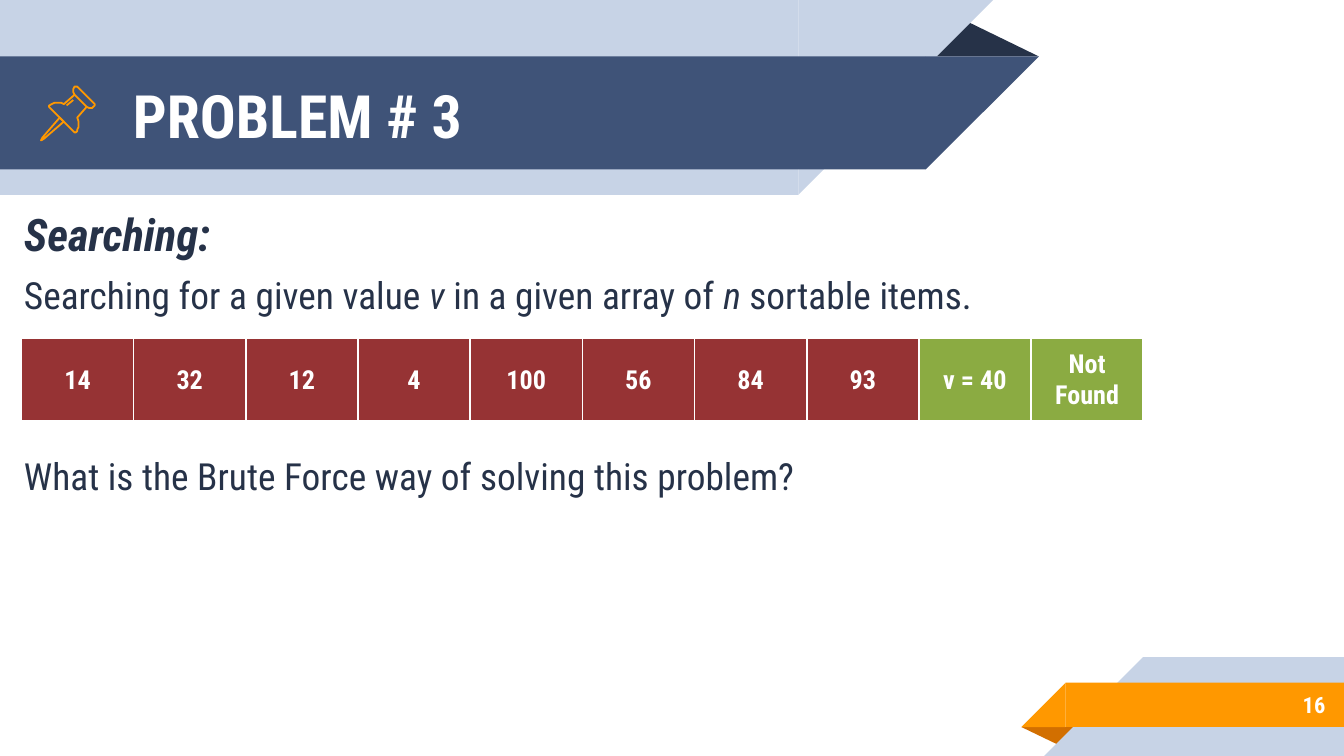
import pptx
import pptx.dml.color
import pptx.enum.shapes
import pptx.enum.text
import pptx.oxml
import pptx.oxml.ns
import pptx.util

PX = 4572
FONT = "Roboto Condensed"
WHITE, NAVY, BLUE, PALE = "FFFFFF", "263248", "3F5378", "C7D3E6"
ORANGE, RUST, RED, GREEN = "FF9800", "D26F00", "963334", "8BAB42"
SHAPE = pptx.enum.shapes.MSO_SHAPE
ALIGN = pptx.enum.text.PP_ALIGN
ANCHOR = pptx.enum.text.MSO_ANCHOR

VALUES = ["14", "32", "12", "4", "100", "56", "84", "93"]
RESULTS = ["v = 40", "Not Found"]
NEEDLE = [(28, 46), (2, 76), (0, 80), (4, 78), (34, 52)]
CAP = [(50, 12), (68, 30), (72, 32), (76, 32), (78, 30), (80, 28), (80, 26),
       (54, 0), (52, 0), (50, 0), (48, 4), (48, 8)]
GRIP = [(50, 12), (34, 26), (30, 24), (26, 24), (20, 24), (16, 26), (12, 28),
        (12, 30), (14, 32), (48, 66), (50, 68), (52, 68), (54, 66), (54, 64),
        (56, 60), (56, 52), (54, 46), (68, 30)]
GLINT = [(38, 28), (48, 20)]


def color(value):
    """Turn a hex string into a colour."""
    return pptx.dml.color.RGBColor.from_string(value)


def px(*lengths):
    """Turn px lengths into EMU."""
    return [pptx.util.Emu(length * PX) for length in lengths]


def add_block(slide, kind, box, fill, flip=None, rotation=0):
    """Add one plain filled shape, optionally mirrored."""
    block = slide.shapes.add_shape(kind, *px(*box))
    block.shadow.inherit = False
    block.fill.solid()
    block.fill.fore_color.rgb = color(fill)
    block.line.fill.background()
    block.rotation = rotation
    if flip:
        block._element.spPr.xfrm.set(flip, "1")
    return block


def style(font, size, fill, bold=False, italic=False):
    """Set the look of a run."""
    font.name = FONT
    font.size = pptx.util.Pt(size)
    font.color.rgb = color(fill)
    font.bold = bold
    font.italic = italic


def add_frame(slide, box, anchor):
    """Add a wrapping text box with even insets and return its frame."""
    frame = slide.shapes.add_textbox(*px(*box)).text_frame
    frame.word_wrap = True
    frame.vertical_anchor = anchor
    inset = px(20)[0]
    frame.margin_left = frame.margin_right = inset
    frame.margin_top = frame.margin_bottom = inset
    return frame


def add_label(slide, box, text, size, align):
    """Add one bold white line centred vertically in its box."""
    frame = add_frame(slide, box, ANCHOR.MIDDLE)
    frame.text = text
    line = frame.paragraphs[0]
    line.alignment = align
    style(line.runs[0].font, size, WHITE, bold=True)


def add_pin(slide, left, top):
    """Draw the outlined pushpin."""
    for points, closed in [(NEEDLE, True), (CAP, True), (GRIP, False), (GLINT, False)]:
        builder = slide.shapes.build_freeform(*points[0], scale=PX)
        builder.add_line_segments(points[1:], close=closed)
        stroke = builder.convert_to_shape(*px(left, top))
        stroke.shadow.inherit = False
        stroke.fill.background()
        stroke.line.color.rgb = color(ORANGE)
        stroke.line.width = pptx.util.Pt(0.96)


def add_header(slide, left, top, title):
    """Build the slanted title ribbon with its pin."""
    fold = add_block(slide, SHAPE.ISOSCELES_TRIANGLE,
                     (left + 1376, top + 28, 170, 56), NAVY)
    fold.adjustments[0] = 0.324
    for y, width, height, fill in [(0, 1188, 290, PALE), (84, 1378, 168, BLUE)]:
        add_block(slide, SHAPE.RECTANGLE, (left, top + y, width, height), fill)
        add_block(slide, SHAPE.RIGHT_TRIANGLE,
                  (left + width, top + y, height, height), fill, "flipV")
    add_label(slide, (left + 178, top + 86, 1202, 168), title, 32, ALIGN.LEFT)
    add_pin(slide, left + 61, top + 129)


def add_footer(slide, left, top, width, number):
    """Build the slanted corner ribbon with the slide number."""
    fold = add_block(slide, SHAPE.ISOSCELES_TRIANGLE,
                     (left, top + 104, 86, 28), RUST, rotation=180)
    fold.adjustments[0] = 0.324
    for x, y, height, fill in [(34, 0, 147, PALE), (0, 38, 66, ORANGE)]:
        start = x + height
        add_block(slide, SHAPE.RECTANGLE,
                  (left + start, top + y, width - start, height), fill)
        add_block(slide, SHAPE.RIGHT_TRIANGLE,
                  (left + x, top + y, height, height), fill, "flipH")
    add_label(slide, (left + 146, top + 36, 326, 70), number, 12, ALIGN.RIGHT)


def add_body(slide, box):
    """Write the heading, the task and the question."""
    lines = [
        (0, 24, True, [("Searching:", True)]),
        (6, 20, False, [("Searching for a given value ", False), ("v ", True),
                        ("in a given array of ", False), ("n ", True),
                        ("sortable items.", False)]),
        (73, 20, False, [("What is the Brute Force way of solving this problem?", False)]),
    ]
    frame = add_frame(slide, box, ANCHOR.TOP)
    for index, (gap, size, bold, pieces) in enumerate(lines):
        line = frame.add_paragraph() if index else frame.paragraphs[0]
        properties = line._p.get_or_add_pPr()
        properties.set("marL", str(16 * PX))
        properties.set("indent", "0")
        line.space_before = pptx.util.Pt(gap)
        for text, italic in pieces:
            run = line.add_run()
            run.text = text
            style(run.font, size, NAVY, bold, italic)


def add_borders(cell):
    """Give a cell white edges, thicker at the bottom."""
    properties = cell._tc.get_or_add_tcPr()
    for side, points in [("L", 1), ("R", 1), ("T", 1), ("B", 3)]:
        properties.append(pptx.oxml.parse_xml(
            f'<a:ln{side} {pptx.oxml.ns.nsdecls("a")} w="{points * 12700}">'
            f'<a:solidFill><a:srgbClr val="{WHITE}"/></a:solidFill></a:ln{side}>'))


def add_array(slide, left, top, cell_width, height):
    """Build the array row followed by the search result."""
    texts = VALUES + RESULTS
    count = len(texts)
    table = slide.shapes.add_table(
        1, count, *px(left, top, cell_width * count, height)).table
    table.first_row = table.horz_banding = False
    for index, text in enumerate(texts):
        table.columns[index].width = px(cell_width)[0]
        cell = table.cell(0, index)
        add_borders(cell)
        cell.fill.solid()
        cell.fill.fore_color.rgb = color(RED if index < len(VALUES) else GREEN)
        cell.vertical_anchor = ANCHOR.MIDDLE
        cell.text = text
        line = cell.text_frame.paragraphs[0]
        line.alignment = ALIGN.CENTER
        style(line.runs[0].font, 14, WHITE, bold=True)


def main():
    """Build and save the slide."""
    deck = pptx.Presentation()
    deck.slide_width, deck.slide_height = px(2000, 1125)
    slide = deck.slides.add_slide(deck.slide_layouts[6])
    add_header(slide, 0, 0, "PROBLEM # 3")
    add_footer(slide, 1520, 978, 480, "16")
    add_body(slide, (0, 288, 2000, 796))
    add_array(slide, 32, 503, 167, 126)
    deck.save("out.pptx")


if __name__ == "__main__":
    main()
